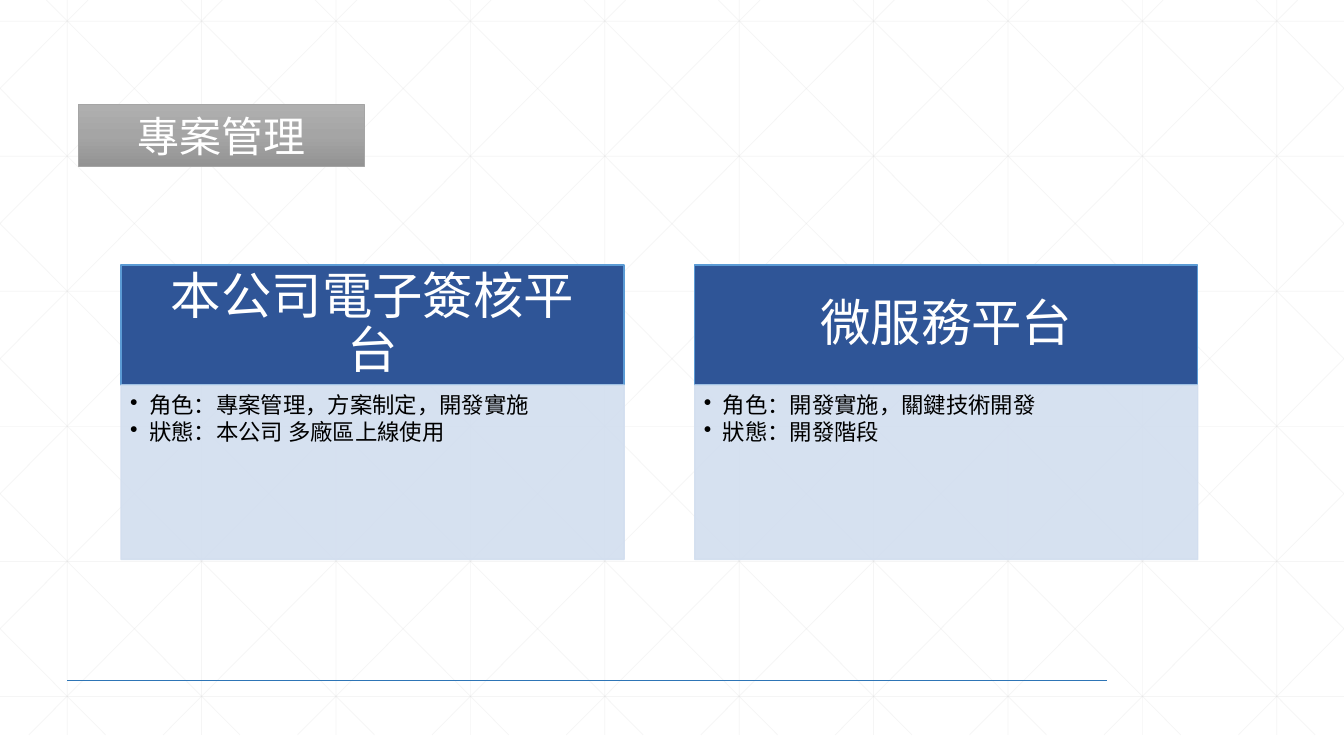
"""Project management slide: two platform cards over a faint lattice."""
from copy import deepcopy

from lxml.etree import SubElement as Sub
from pptx import Presentation
from pptx.dml.color import RGBColor as RGB
from pptx.enum.shapes import MSO_CONNECTOR as Connector, MSO_SHAPE as Shape
from pptx.enum.text import MSO_ANCHOR as Anchor, PP_ALIGN as Align
from pptx.oxml.ns import qn
from pptx.util import Inches, Pt

THEME = {
    "font": "Noto Sans CJK SC",
    "lattice": "D9D9D9", "footer": "2E75B6",
    "tag": ["AFAFAF", "A5A5A5", "939393"], "tag_line": "A5A5A5",
    "head": "2F5597", "head_line": "5B9BD5", "body": "D2DEEF",
    "light": "FFFFFF", "dark": "000000",
    "tag_size": 30, "head_size": 36, "body_size": 16,
}
WIDTH, HEIGHT = 13.33, 7.5
CARDS = [
    ("本公司電子簽核平台", ["角色：專案管理，方案制定，開發實施", "狀態：本公司 多廠區上線使用"]),
    ("微服務平台", ["角色：開發實施，關鍵技術開發", "狀態：開發階段"]),
]

deck = Presentation()
deck.slide_width, deck.slide_height = Inches(WIDTH), Inches(HEIGHT)
slide = deck.slides.add_slide(deck.slide_layouts[6])


def draw_line(x1, y1, x2, y2, color, weight, alpha=100):
    rule = slide.shapes.add_connector(Connector.STRAIGHT, *map(Inches, (x1, y1, x2, y2)))
    rule.line.color.rgb = RGB.from_string(color)
    rule.line.width = Pt(weight)
    Sub(rule._element.spPr.find(".//" + qn("a:srgbClr")), qn("a:alpha"), val=str(alpha * 1000))
    Sub(rule._element.spPr, qn("a:effectLst"))


def add_panel(box, line, weight, insets, lines, size, color, bullets=False):
    panel = slide.shapes.add_shape(Shape.RECTANGLE, *map(Inches, box))
    panel.shadow.inherit = False
    panel.line.color.rgb = RGB.from_string(line)
    panel.line.width = Pt(weight)
    frame = panel.text_frame
    frame.word_wrap = True
    frame.vertical_anchor = Anchor.TOP if bullets else Anchor.MIDDLE
    frame.margin_left, frame.margin_top, frame.margin_right, frame.margin_bottom = map(Inches, insets)
    for index, words in enumerate(lines):
        para = frame.add_paragraph() if index else frame.paragraphs[0]
        para.alignment = Align.LEFT if bullets else Align.CENTER
        if bullets:
            para.level = 1
            para.line_spacing = 0.9
            para.space_after = Pt(size * 0.15)
            props = para._p.get_or_add_pPr()
            props.set("marL", str(Inches(0.19)))
            props.set("indent", str(Inches(-0.19)))
            Sub(props, qn("a:buChar"), char="•")
        run = para.add_run()
        run.text = words
        run.font.size = Pt(size)
        run.font.color.rgb = RGB.from_string(color)
        run.font.name = THEME["font"]
        Sub(run._r.get_or_add_rPr(), qn("a:ea"), typeface=THEME["font"])
    return panel


lattice = (THEME["lattice"], 0.5, 25)
column, row, bottom = WIDTH / 10, 1.34, 7.29
for step in range(10):
    x = column * (step + 0.5)
    draw_line(x, 0, x, bottom, *lattice)
for step in range(6):
    y = 0.21 + row * step
    draw_line(0, y, WIDTH, y, *lattice)
slope = row / column
for step in range(-5, 10):
    start = 0.46 + column * step
    left, right = max(0, start), min(WIDTH, start + bottom / slope)
    top, end = (left - start) * slope, (right - start) * slope
    draw_line(left, top, right, end, *lattice)
    draw_line(WIDTH - left, top, WIDTH - right, end, *lattice)
draw_line(column / 2, HEIGHT * 0.9, 10.98, HEIGHT * 0.9, THEME["footer"], 1)

tag = add_panel((0.78, 1.04, 2.83, 0.61), THEME["tag_line"], 0.5, (0.11, 0.05, 0.11, 0.05),
                ["專案管理"], THEME["tag_size"], THEME["light"])
tag.fill.gradient()
tag.fill.gradient_angle = 270
stops = tag._element.spPr.find(".//" + qn("a:gsLst"))
stops.insert(1, deepcopy(stops[0]))
for index, stop in enumerate(tag.fill.gradient_stops):
    stop.position = index / 2
    stop.color.rgb = RGB.from_string(THEME["tag"][index])

card_left, card_pitch, card_width = 1.2, 5.69, 4.99
head_top, head_height, body_height = 2.63, 1.19, 1.73
for index, (platform, facts) in enumerate(CARDS):
    x = card_left + card_pitch * index
    head = add_panel((x, head_top, card_width, head_height), THEME["head_line"], 1,
                     (0.28, 0.16, 0.28, 0.16), [platform], THEME["head_size"], THEME["light"])
    head.text_frame.paragraphs[0].line_spacing = 0.9
    head.fill.solid()
    head.fill.fore_color.rgb = RGB.from_string(THEME["head"])
    body = add_panel((x, head_top + head_height, card_width, body_height), THEME["body"], 1,
                     (0.09, 0.09, 0.12, 0.14), facts, THEME["body_size"], THEME["dark"], True)
    body.fill.solid()
    body.fill.fore_color.rgb = RGB.from_string(THEME["body"])
    for tint in body._element.spPr.iter(qn("a:srgbClr")):
        Sub(tint, qn("a:alpha"), val="90000")

deck.save("out.pptx")
